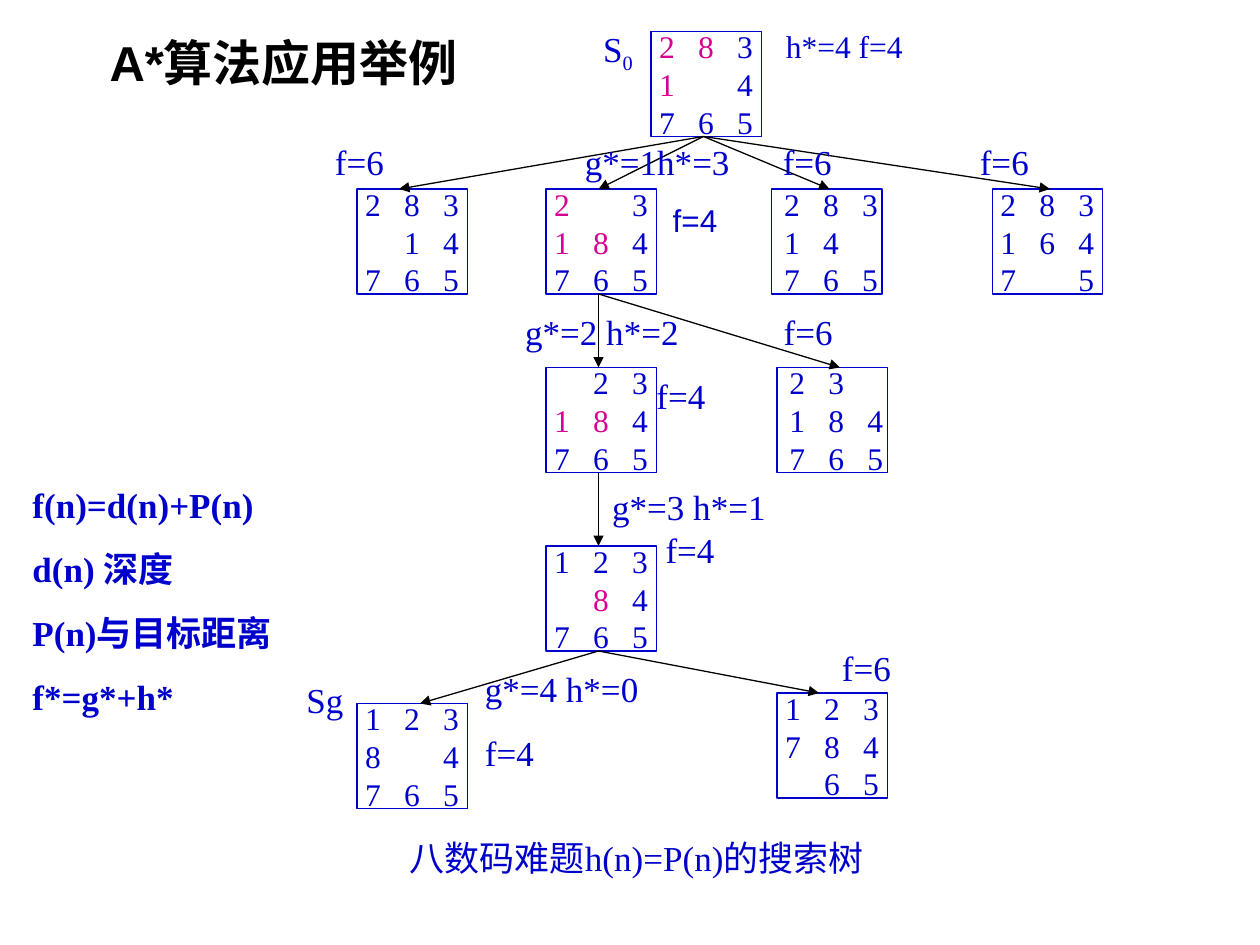
from dataclasses import dataclass
from itertools import groupby

from lxml import etree
from pptx import Presentation
from pptx.dml.color import RGBColor
from pptx.enum.shapes import MSO_CONNECTOR, MSO_SHAPE
from pptx.enum.text import MSO_ANCHOR, PP_ALIGN
from pptx.oxml.ns import qn
from pptx.util import Pt

LINE = MSO_CONNECTOR.STRAIGHT
RECT = MSO_SHAPE.RECTANGLE
MIDDLE = MSO_ANCHOR.MIDDLE
LEFT, CENTER = PP_ALIGN.LEFT, PP_ALIGN.CENTER
BLUE = RGBColor(0x00, 0x00, 0xCC)
PINK = RGBColor(0xD6, 0x00, 0x93)
BLACK = RGBColor(0, 0, 0)
SERIF, SANS = "Times New Roman", "Arial"
SIDE_W, SIDE_H = 63, 60
STEP = 22.3


@dataclass
class Board:
    x: float
    y: float
    rows: tuple[str, str, str]
    hot: str = ""
    inset: float = 4.6


@dataclass
class Arrow:
    x1: float
    y1: float
    x2: float
    y2: float


@dataclass
class Row:
    text: str
    indent: float = 0
    tabs: tuple[float, ...] = ()
    sub: str = ""


@dataclass
class Label:
    x: float
    y: float
    w: float
    h: float
    rows: list[Row]
    size: float = 20
    face: str = SERIF
    color: RGBColor = BLUE
    bold: bool = False
    align: PP_ALIGN = LEFT
    lead: float = 1


BOARDS = [
    Board(372, 18, ("283", "1 4", "765"), "281"),
    Board(204, 108, ("283", " 14", "765")),
    Board(312, 108, ("2 3", "184", "765"), "218"),
    Board(441, 108, ("283", "14", "765"), inset=7.2),
    Board(567, 108, ("283", "164", "7 5")),
    Board(312, 210, (" 23", "184", "765"), "18"),
    Board(444, 210, ("23", "184", "765"), inset=7.2),
    Board(204, 402, ("123", "8 4", "765")),
    Board(444, 396, ("123", "784", " 65")),
    Board(312, 312, ("123", " 84", "765"), "8"),
]

ARROWS = [
    *(Arrow(402, 78, x, 108) for x in (228, 342, 474, 600)),
    *(Arrow(342, 168, x, 210) for x in (342, 480)),
    Arrow(342, 270, 342, 312),
    Arrow(342, 372, 240, 402),
    Arrow(342, 372, 468, 396),
]

LABELS = [
    Label(337.5, 12, 34, 34.5, [Row("S", sub="0")]),
    Label(184.3, 77, 436, 32,
          [Row("f=6\tg*=1h*=3\tf=6\tf=6", tabs=(142.8, 255.9, 368.5))]),
    Label(288, 174, 276, 68,
          [Row("g*=2 h*=2\tf=6", 5, (147.7,)), Row("f=4", 80)]),
    Label(342.7, 284.5, 106, 44,
          [Row("g*=3 h*=1"), Row("f=4", 30.5)], lead=0.5),
    Label(270, 378, 132.5, 92, [Row("g*=4 h*=0"), Row("f=4")]),
    Label(474, 366, 50.5, 32, [Row("f=6")]),
    Label(168, 384, 54, 32, [Row("Sg")]),
    Label(227, 474.5, 280, 55.5, [Row("八数码难题h(n)=P(n)的搜索树")]),
    Label(11.5, 273, 161, 141,
          [Row("f(n)=d(n)+P(n)"), Row("d(n) 深度"),
           Row("P(n)与目标距离"), Row("f*=g*+h*")], bold=True),
    Label(377.3, 111.5, 45.5, 29, [Row("f=4")], 18, SANS),
    Label(14.5, 15, 295, 41, [Row("A*算法应用举例")], 28, SANS, BLACK,
          True, CENTER),
    Label(442, 12, 116, 29, [Row("h*=4 f=4")], 18),
]


def add_tabs(para, stops) -> None:
    props = para._p.get_or_add_pPr()
    tabs = etree.SubElement(props, qn("a:tabLst"))
    for stop in stops:
        etree.SubElement(tabs, qn("a:tab"), pos=str(Pt(stop)), algn="l")


def set_font(font, size: float, face: str, color: RGBColor | None,
             bold: bool = False) -> None:
    font.size, font.name, font.bold = Pt(size), face, bold
    if color is not None:
        font.color.rgb = color


def next_para(frame, index: int):
    return frame.add_paragraph() if index else frame.paragraphs[0]


def draw_board(slide, board: Board) -> None:
    box = slide.shapes.add_shape(RECT, Pt(board.x), Pt(board.y),
                                 Pt(SIDE_W), Pt(SIDE_H))
    box.shadow.inherit = False
    box.fill.background()
    box.line.color.rgb = BLUE
    box.line.width = Pt(0.75)
    frame = box.text_frame
    frame.vertical_anchor = MIDDLE
    frame.margin_left = Pt(board.inset)
    frame.margin_right = 0
    frame.word_wrap = True
    for i, row in enumerate(board.rows):
        para = next_para(frame, i)
        para.alignment = LEFT
        add_tabs(para, (STEP, 2 * STEP))
        set_font(para.font, 18, SERIF, None)
        cells = enumerate(row)
        for hot, group in groupby(cells, lambda cell: cell[1] in board.hot):
            run = para.add_run()
            run.text = "".join("\t" * (col > 0) + digit.strip()
                               for col, digit in group)
            run.font.color.rgb = PINK if hot else BLUE


def draw_arrow(slide, arrow: Arrow) -> None:
    link = slide.shapes.add_connector(LINE, Pt(arrow.x1), Pt(arrow.y1),
                                      Pt(arrow.x2), Pt(arrow.y2))
    link.line.color.rgb = BLACK
    link.line.width = Pt(0.75)
    etree.SubElement(link.line._get_or_add_ln(), qn("a:tailEnd"),
                     type="triangle")
    etree.SubElement(link._element.spPr, qn("a:effectLst"))


def draw_label(slide, label: Label) -> None:
    box = slide.shapes.add_textbox(Pt(label.x), Pt(label.y),
                                   Pt(label.w), Pt(label.h))
    frame = box.text_frame
    frame.word_wrap = True
    for i, row in enumerate(label.rows):
        para = next_para(frame, i)
        para.alignment = label.align
        para.line_spacing = label.lead
        if i:
            para.space_before = Pt(12.5)
        if row.indent:
            para._p.get_or_add_pPr().set("marL", str(Pt(row.indent)))
        if row.tabs:
            add_tabs(para, row.tabs)
        set_font(para.font, label.size, label.face, label.color, label.bold)
        para.add_run().text = row.text
        if row.sub:
            run = para.add_run()
            run.text = row.sub
            run._r.get_or_add_rPr().set("baseline", "-25000")


def main() -> None:
    deck = Presentation()
    deck.slide_width, deck.slide_height = Pt(720), Pt(540)
    slide = deck.slides.add_slide(deck.slide_layouts[6])
    for board in BOARDS:
        draw_board(slide, board)
    for arrow in ARROWS:
        draw_arrow(slide, arrow)
    for label in LABELS:
        draw_label(slide, label)
    deck.save("out.pptx")


if __name__ == "__main__":
    main()
